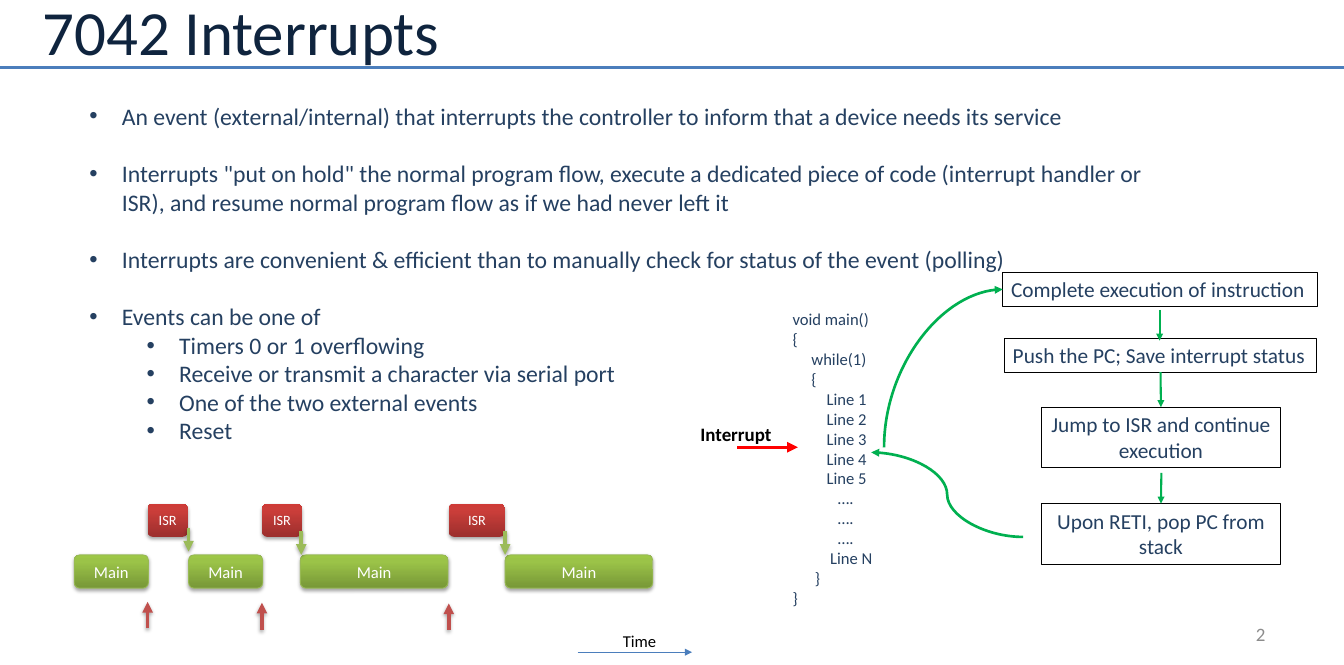
from pptx import Presentation
from pptx import util as u
from pptx.dml.color import RGBColor
from pptx.enum import shapes, text
from pptx.oxml.ns import qn
from lxml import etree

SCALE = 9144
FONT = "Calibri"
INK = {
    "title": "0F243E", "body": "254061", "rule": "4B7EBC", "page": "8C8C8C",
    "white": "FFFFFF", "black": "000000", "red": "FF0000", "flow": "00B050",
    "edge": "98B955", "down": "9BBB59", "up": "C0504D",
}
GREEN = [(0, "779737"), (80, "9BC348"), (100, "9DC746")]
BRICK = [(0, "9C2F2D"), (80, "CB3E3A"), (100, "CE3B37")]

POINTS = [
    (0, "An event (external/internal) that interrupts the controller to inform that a device needs its service"),
    (0, "Interrupts \"put on hold\" the normal program flow, execute a dedicated piece of code "
        "(interrupt handler or ISR), and resume normal program flow as if we had never left it"),
    (0, "Interrupts are convenient & efficient than to manually check for status of the event (polling)"),
    (0, "Events can be one of"),
    (1, "Timers 0 or 1 overflowing"),
    (1, "Receive or transmit a character via serial port"),
    (1, "One of the two external events"),
    (1, "Reset"),
]
CODE = [
    (0, "void main()"), (0, "{"), (22, "while(1)"), (22, "{"),
    *[(40, f"Line {n}") for n in range(1, 6)],
    *[(53, "….")] * 3,
    (44, "Line N"), (26, "}"), (0, "}"),
]
MAINS = [(87, 87), (221, 87), (352, 173), (592, 173)]
ISRS = [(173, 47), (307, 47), (526, 66)]
RISES = [(173, 736, 705), (307, 738, 706), (526, 738, 707)]
DROPS = [(221, 618, 646), (353, 622, 650), (592, 622, 650)]
STEPS = [
    ("Complete execution of instruction", (1175, 319, 369, 40), False),
    ("Push the PC; Save interrupt status", (1177, 396, 366, 40), False),
    ("Jump to ISR and continue execution", (1221, 477, 279, 71), True),
    ("Upon RETI, pop PC from stack", (1221, 590, 279, 71), True),
]

LEFT, MID, RIGHT = text.PP_ALIGN.LEFT, text.PP_ALIGN.CENTER, text.PP_ALIGN.RIGHT
LINE, CURVE = shapes.MSO_CONNECTOR.STRAIGHT, shapes.MSO_CONNECTOR.CURVE

prs = Presentation()
prs.slide_width, prs.slide_height = 1575 * SCALE, 779 * SCALE
slide = prs.slides.add_slide(prs.slide_layouts[5])


def emu(*vals):
    return [v * SCALE for v in vals]


def rgb(name):
    return RGBColor.from_string(INK[name])


def add(parent, tag, **attrs):
    return etree.SubElement(parent, qn(tag), **attrs)


def write(frame, row, size, ink, align=LEFT, bold=False, first=True):
    para = frame.paragraphs[0] if first else frame.add_paragraph()
    para.alignment = align
    run = para.add_run()
    run.text = row
    run.font.name, run.font.size, run.font.bold = FONT, u.Pt(size), bold
    run.font.color.rgb = rgb(ink)
    return para


def indent(para, left, hang=0):
    props = para._p.get_or_add_pPr()
    props.set("marL", str(left * SCALE))
    props.set("indent", str(-hang * SCALE))
    return props


def pad(frame):
    frame.margin_left, frame.margin_right = emu(13, 13)
    frame.margin_top, frame.margin_bottom = emu(7, 7)
    frame.vertical_anchor = text.MSO_ANCHOR.MIDDLE


def label(box, wrap=True):
    frame = slide.shapes.add_textbox(*emu(*box)).text_frame
    frame.word_wrap = wrap
    return frame


def shade(effects):
    glow = add(effects, "a:outerShdw", blurRad="39370", dist="22860",
               dir="5400000", rotWithShape="0")
    add(add(glow, "a:srgbClr", val=INK["black"]), "a:alpha", val="35000")


def link(start, end, ink, width, kind=LINE, arrow=True, shadow=False):
    wire = slide.shapes.add_connector(kind, *emu(*start, *end))
    wire.line.color.rgb = rgb(ink)
    wire.line.width = u.Pt(width)
    if arrow:
        add(wire.line._ln, "a:tailEnd", type="triangle")
    effects = add(wire._element.spPr, "a:effectLst")
    if shadow:
        shade(effects)
    return wire


def block(box, word, size, stops, edge=None):
    tile = slide.shapes.add_shape(shapes.MSO_SHAPE.ROUNDED_RECTANGLE, *emu(*box))
    tile.fill.gradient()
    tile.fill.gradient_angle = 90
    props = tile._element.spPr
    ramp = props.find(qn("a:gradFill")).find(qn("a:gsLst"))
    ramp.clear()
    for spot, tint in stops:
        add(add(ramp, "a:gs", pos=str(spot * 1000)), "a:srgbClr", val=tint)
    if edge:
        tile.line.color.rgb = rgb(edge)
        tile.line.width = u.Pt(0.75)
    else:
        tile.line.fill.background()
    tile.shadow.inherit = False
    shade(props.find(qn("a:effectLst")))
    tile.text_frame.vertical_anchor = text.MSO_ANCHOR.MIDDLE
    write(tile.text_frame, word, size, "white", MID)


def step(word, box, wrap):
    tile = slide.shapes.add_shape(shapes.MSO_SHAPE.RECTANGLE, *emu(*box))
    tile.fill.background()
    tile.line.color.rgb = rgb("black")
    tile.line.width = u.Pt(0.75)
    tile.shadow.inherit = False
    frame = tile.text_frame
    frame.word_wrap = wrap
    frame.vertical_anchor = text.MSO_ANCHOR.TOP
    write(frame, word, 18, "body", MID if wrap else LEFT)
    return tile


title = slide.shapes.title
title.left, title.top, title.width, title.height = emu(37, 0, 1222, 71)
title.text_frame.auto_size = text.MSO_AUTO_SIZE.NONE
pad(title.text_frame)
write(title.text_frame, "7042 Interrupts", 53.1, "title")
link((0, 79), (1575, 79), "rule", 3, arrow=False)

frame = label((95, 114, 1299, 414))
for i, (level, row) in enumerate(POINTS):
    para = write(frame, row, 20, "body", first=i == 0)
    para.level = level
    if i and level == 0:
        para.space_before = u.Pt(24.4)
    props = indent(para, (38, 105)[level], 38)
    add(props, "a:buFont", typeface="Arial")
    add(props, "a:buChar", char="•")

frame = label((1129, 722, 367, 41))
pad(frame)
write(frame, "2", 16, "page", RIGHT)

for x, w in MAINS:
    block((x, 650, w, 39), "Main", 14, GREEN, "edge")
for x, w in ISRS:
    block((x, 590, w, 39), "ISR", 12, BRICK)
for ink, marks in (("up", RISES), ("down", DROPS)):
    for x, y, tip in marks:
        link((x, y), (x, tip), ink, 3, shadow=True)
link((677, 764), (811, 764), "rule", 0.75)
write(label((720, 734, 60, 34), False), "Time", 14, "black")

frame = label((919, 357, 496, 364))
for i, (left, row) in enumerate(CODE):
    indent(write(frame, row, 14, "body", first=i == 0), left)
link((864, 524), (935, 524), "red", 3)
write(label((811, 490, 105, 37), False), "Interrupt", 16, "black", bold=True)

done, push, jump, reti = [step(*item) for item in STEPS]
leave = link((1198, 501), (1013, 362), "flow", 2.25, CURVE)
props = leave._element.spPr
props.find(qn("a:xfrm")).set("rot", "5400000")
props.find(qn("a:prstGeom")).set("prst", "curvedConnector2")
link((1199, 629), (1021, 530), "flow", 2.25, CURVE)

link((1359, 363), (1359, 399), "flow", 1.75)
save = link((1360, 437), (1361, 477), "flow", 1.75)
save.begin_connect(push, 2)
save.end_connect(jump, 0)
link((1361, 554), (1361, 590), "flow", 1.75).end_connect(reti, 0)

prs.save("out.pptx")
